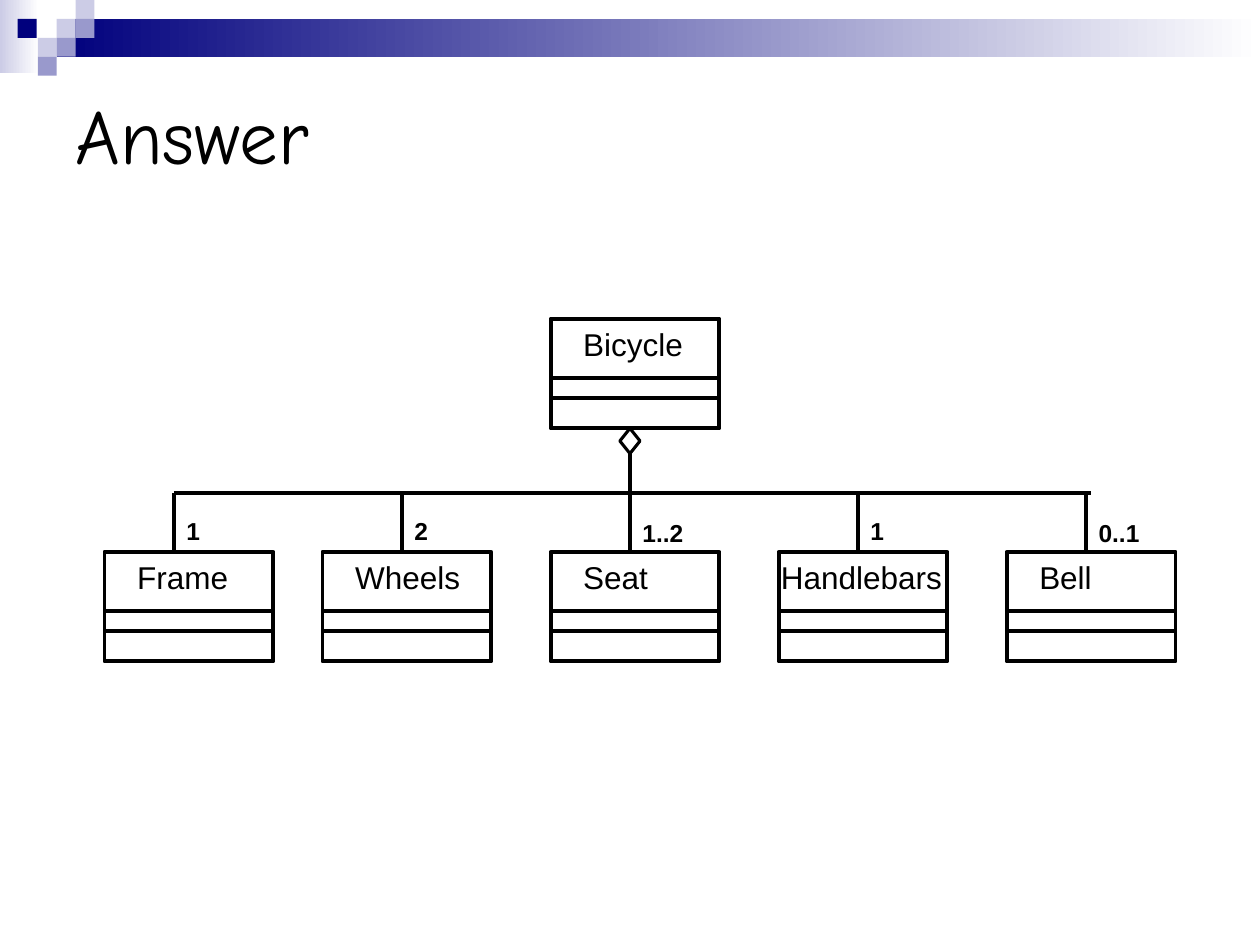
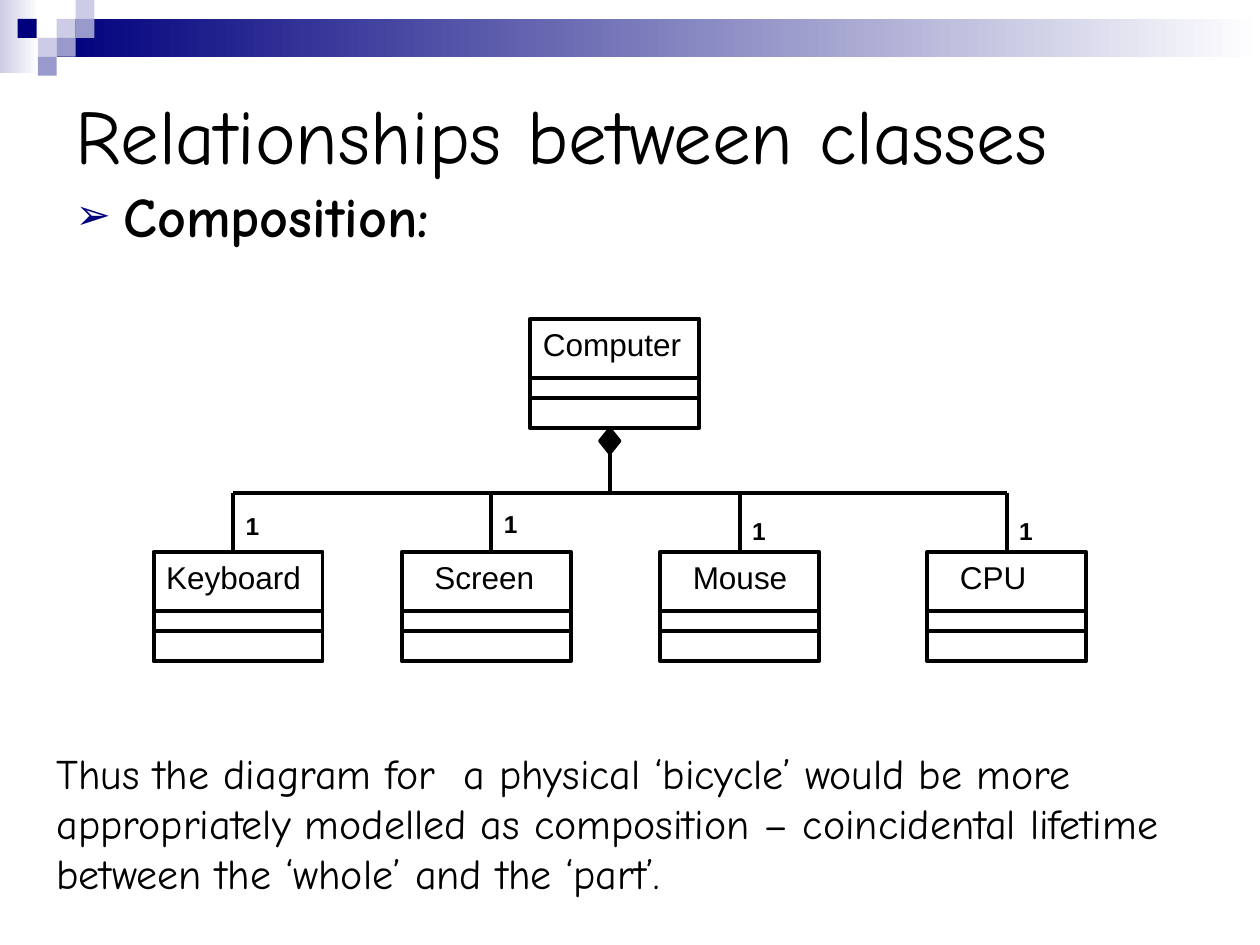
"""Build two slides of class diagrams that show whole and part links."""
from dataclasses import dataclass

from lxml.etree import SubElement
from pptx import Presentation
from pptx.dml.color import RGBColor
from pptx.enum.shapes import MSO_CONNECTOR, MSO_SHAPE
from pptx.enum.text import MSO_ANCHOR, MSO_AUTO_SIZE, PP_ALIGN
from pptx.oxml.ns import qn
from pptx.util import Inches, Pt

BLACK = RGBColor(0x00, 0x00, 0x00)
WHITE = RGBColor(0xFF, 0xFF, 0xFF)
NAVY = RGBColor(0x00, 0x00, 0x7D)
LILAC = RGBColor(0xCC, 0xCC, 0xE6)
MAUVE = RGBColor(0x99, 0x99, 0xCC)
HAND, PLAIN = "Comic Neue", "Arial"
TOP, ROW, BAR, TALL = 2.53, 4.38, 3.91, 0.87
RULES = (0.47, 0.63)
STEP = 1.81


@dataclass(frozen=True)
class Band:
    """A filled block of the header, fading to white if asked."""
    left: float
    top: float
    wide: float
    high: float
    color: RGBColor
    fade: bool = False


@dataclass(frozen=True)
class Box:
    """A class box hung on its axis, with its count beside the line."""
    name: str
    axis: float
    count: str = ""
    shift: float = 0.63
    wide: float = 1.34
    pad: float = 0.16
    room: float = 1.26
    tag_top: float = 4.05
    tag_room: float = 0.55


@dataclass(frozen=True)
class Tree:
    """A whole, the boxes below it and the lines between them."""
    whole: Box
    leaves: tuple[Box, ...]
    end: float
    solid: bool


TILE = 0.15
BANDS = (
    Band(0, 0, 0.31, 0.58, LILAC, True),
    Band(0.45, TILE, 9.55, 0.3, NAVY, True),
    *(Band(left, top, TILE, TILE, color) for left, top, color in (
        (0.45, 0.15, LILAC), (0.6, 0, LILAC), (0.6, 0.15, MAUVE),
        (0.3, 0.3, LILAC), (0.14, 0.15, NAVY), (0.45, 0.3, MAUVE),
        (0.3, 0.45, MAUVE))),
)
BIKE = Tree(
    Box("Bicycle", 5),
    (
        Box("Frame", 1.38, "1", shift=0.55, tag_room=0.71),
        Box("Wheels", 1.38 + STEP, "2"),
        Box("Seat", 1.38 + 2 * STEP, "1..2", tag_top=4.06),
        Box("Handlebars", 1.38 + 3 * STEP, "1", pad=-0.08, room=1.5),
        Box("Bell", 1.38 + 4 * STEP, "0..1", tag_top=4.06),
    ),
    end=8.66, solid=False,
)
DESK = Tree(
    Box("Computer", 4.84, pad=0, room=1.34),
    (
        Box("Keyboard", 1.85, "1", pad=0, room=1.42, tag_top=4.01, tag_room=0.31),
        Box("Screen", 3.9, "1", shift=0.71, tag_top=3.99),
        Box("Mouse", 5.87, "1", wide=1.26, room=1.02),
        Box("CPU", 7.99, "1", wide=1.26, room=1.02),
    ),
    end=7.99, solid=True,
)
NOTE = ("Thus the diagram for  a physical ‘bicycle’ would be more appropriately "
        "modelled as composition – coincidental lifetime between the ‘whole’ "
        "and the ‘part’.")


def place(shape, left: float, top: float, wide: float, high: float) -> None:
    """Move and size a shape."""
    shape.left, shape.top = Inches(left), Inches(top)
    shape.width, shape.height = Inches(wide), Inches(high)


def write(frame, text: str, size: int, font: str, bold: bool = False,
          before: float = 0):
    """Put one styled run in the first paragraph."""
    frame.word_wrap = True
    para = frame.paragraphs[0]
    para.alignment = PP_ALIGN.LEFT
    para.space_before = Pt(before)
    run = para.add_run()
    run.text = text
    run.font.size, run.font.name = Pt(size), font
    run.font.bold, run.font.color.rgb = bold, BLACK
    return para


def label(slide, left: float, top: float, wide: float, high: float,
          text: str, size: int, font: str = PLAIN, bold: bool = False,
          before: float = 0) -> None:
    """Add a text box that grows with its text."""
    box = slide.shapes.add_textbox(Inches(left), Inches(top),
                                   Inches(wide), Inches(high))
    write(box.text_frame, text, size, font, bold, before)
    box.text_frame.auto_size = MSO_AUTO_SIZE.SHAPE_TO_FIT_TEXT


def line(slide, x1: float, y1: float, x2: float, y2: float) -> None:
    """Draw a straight black line."""
    link = slide.shapes.add_connector(
        MSO_CONNECTOR.STRAIGHT, Inches(x1), Inches(y1), Inches(x2), Inches(y2))
    link.line.color.rgb, link.line.width = BLACK, Pt(2.25)
    SubElement(link._element.spPr, qn("a:effectLst"))


def outline(slide, kind: MSO_SHAPE, left: float, top: float, wide: float,
            high: float, weight: float, solid: bool = False) -> None:
    """Draw a shape with a black edge, filled black if solid."""
    shape = slide.shapes.add_shape(kind, Inches(left), Inches(top),
                                   Inches(wide), Inches(high))
    shape.shadow.inherit = False
    if solid:
        shape.fill.solid()
        shape.fill.fore_color.rgb = BLACK
    else:
        shape.fill.background()
    shape.line.color.rgb, shape.line.width = BLACK, Pt(weight)


def draw_box(slide, box: Box, top: float) -> None:
    """Draw a class box with its name and two rules."""
    left = box.axis - box.shift
    label(slide, left + box.pad, top, box.room, 0.4, box.name, 18, before=11.2)
    outline(slide, MSO_SHAPE.RECTANGLE, left, top, box.wide, TALL, 2.25)
    for rule in RULES:
        line(slide, left, top + rule, left + box.wide, top + rule)


def draw_tree(slide, tree: Tree) -> None:
    """Draw the whole, the diamond, the bar and all boxes below."""
    axis = tree.whole.axis
    draw_box(slide, tree.whole, TOP)
    outline(slide, MSO_SHAPE.DIAMOND, axis - 0.08, TOP + TALL, 0.16, 0.2,
            1.75, tree.solid)
    line(slide, axis, 3.59, axis, BAR)
    line(slide, tree.leaves[0].axis, BAR, tree.end, BAR)
    for leaf in tree.leaves:
        draw_box(slide, leaf, ROW)
        line(slide, leaf.axis, BAR, leaf.axis, ROW)
        label(slide, leaf.axis, leaf.tag_top, leaf.tag_room, 0.34,
              leaf.count, 14, bold=True, before=8.8)


def add_bands(deck, slide) -> None:
    """Draw the header blocks and move them to the slide master."""
    tree = deck.slide_master.shapes._spTree
    for spot, band in enumerate(BANDS):
        shape = slide.shapes.add_shape(
            MSO_SHAPE.RECTANGLE, Inches(band.left), Inches(band.top),
            Inches(band.wide), Inches(band.high))
        shape.shadow.inherit = False
        shape.line.fill.background()
        if band.fade:
            shape.fill.gradient()
            shape.fill.gradient_angle = 0
            for stop, color in zip(shape.fill.gradient_stops, (band.color, WHITE)):
                stop.color.rgb = color
        else:
            shape.fill.solid()
            shape.fill.fore_color.rgb = band.color
        shape._element.nvSpPr.cNvPr.set("id", str(20 + spot))
        tree.insert(2 + spot, shape._element)


def add_slide(deck, layout: int, title: str):
    """Add a slide with the shared title style."""
    slide = deck.slides.add_slide(deck.slide_layouts[layout])
    head = slide.shapes.title
    place(head, 0.5, 0.5, 9, 1.12)
    write(head.text_frame, title, 44, HAND)
    head.text_frame.vertical_anchor = MSO_ANCHOR.MIDDLE
    head.text_frame.auto_size = MSO_AUTO_SIZE.NONE
    return slide


def add_point(slide, text: str) -> None:
    """Fill the body with one arrow point."""
    body = slide.placeholders[1]
    place(body, 0.5, 1.39, 9, 1.02)
    body.text_frame.auto_size = MSO_AUTO_SIZE.NONE
    props = write(body.text_frame, text, 32, HAND, True, 8)._p.get_or_add_pPr()
    props.set("marL", str(Inches(0.38)))
    props.set("indent", str(Inches(-0.38)))
    tint = SubElement(props, qn("a:buClr"))
    SubElement(tint, qn("a:srgbClr"), val=str(NAVY))
    SubElement(props, qn("a:buSzPct"), val="75000")
    SubElement(props, qn("a:buChar"), char="➢")


def main() -> None:
    """Build and save the deck."""
    deck = Presentation()
    deck.slide_width, deck.slide_height = Inches(10), Inches(7.5)
    first = add_slide(deck, 5, "Answer")
    add_bands(deck, first)
    draw_tree(first, BIKE)
    second = add_slide(deck, 1, "Relationships between classes")
    add_point(second, "Composition:")
    draw_tree(second, DESK)
    label(second, 0.35, 5.88, 9.65, 1.3, NOTE, 24, HAND, before=15)
    deck.save("out.pptx")


if __name__ == "__main__":
    main()
